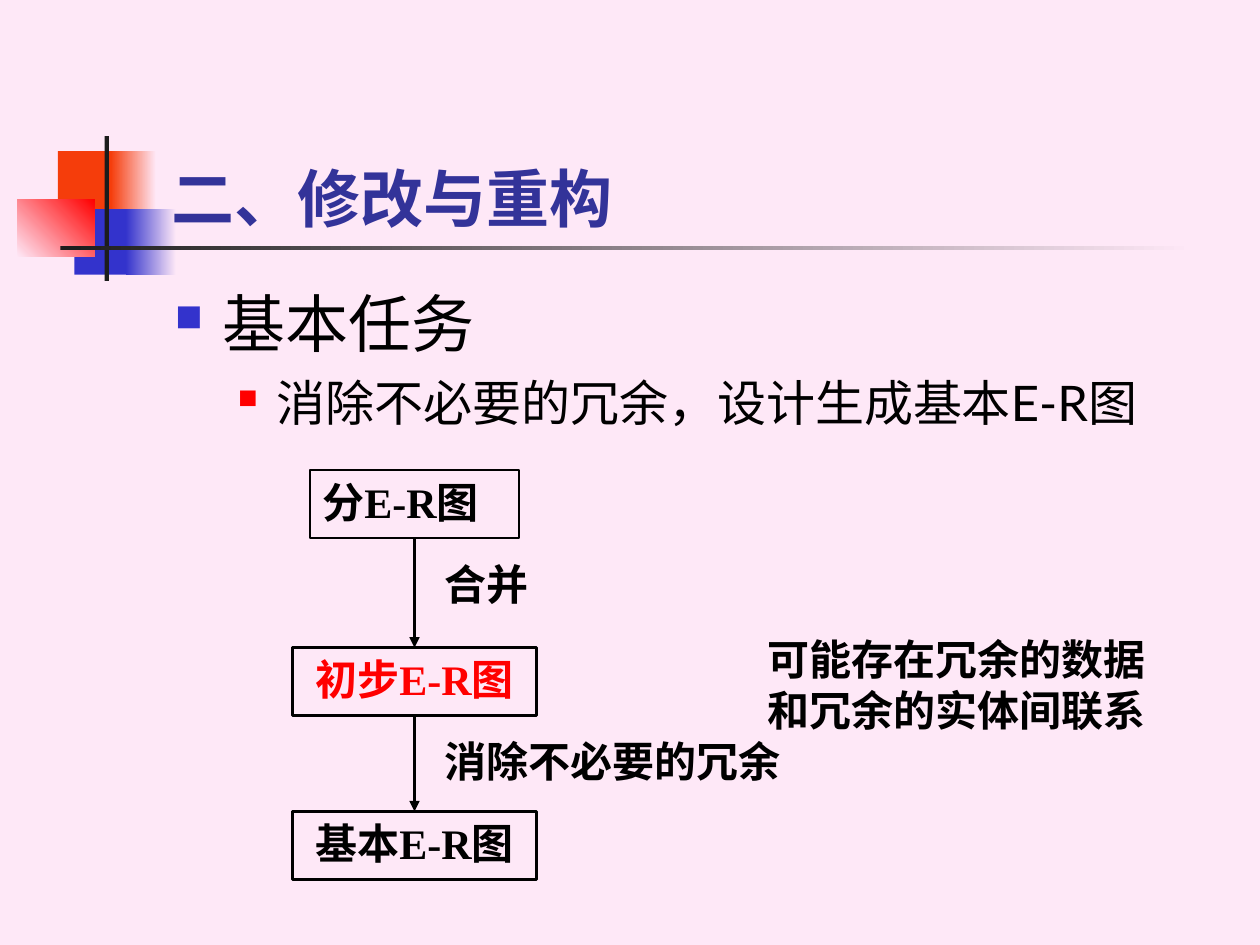
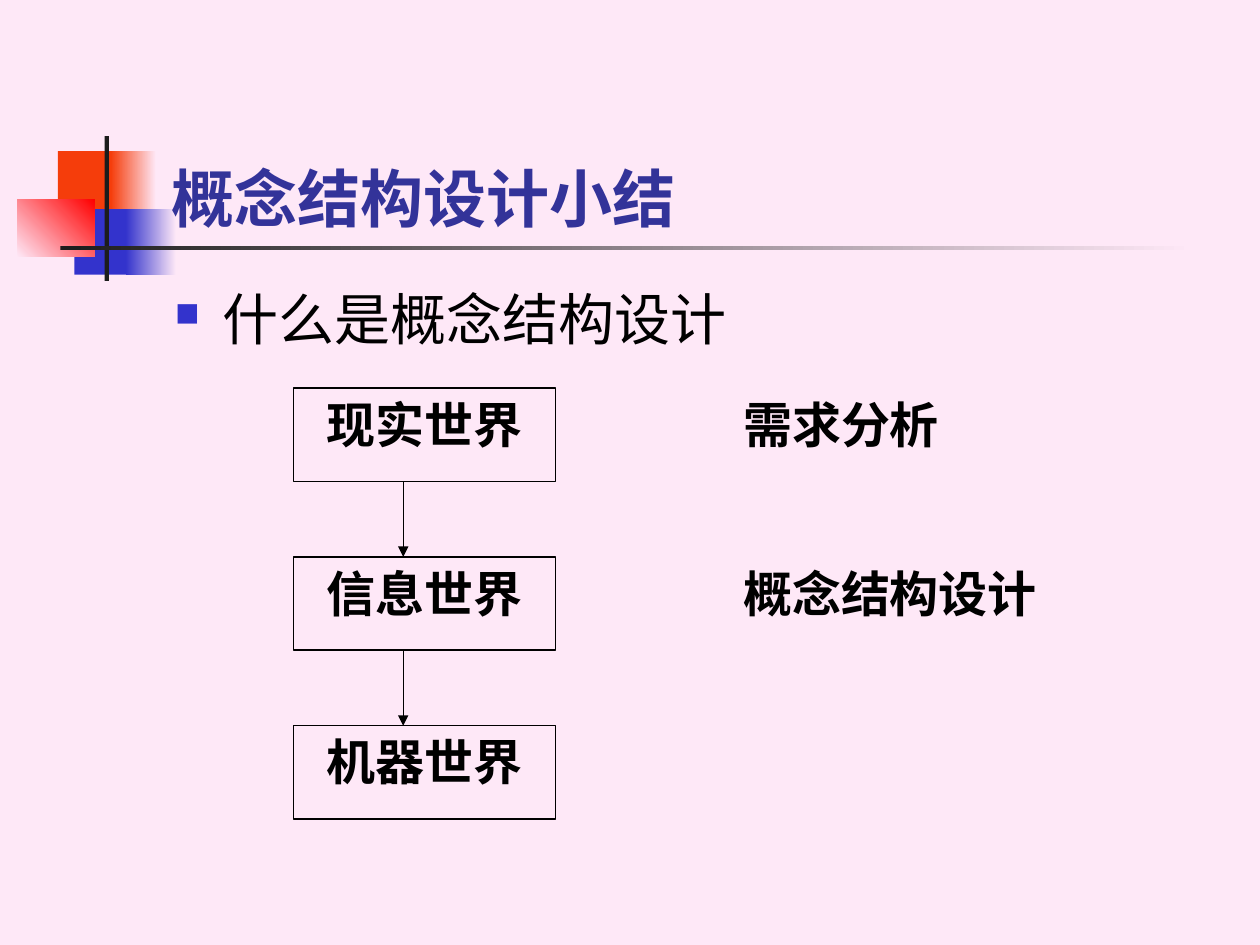
import pptx
import pptx.dml.color
import pptx.enum.dml
import pptx.enum.lang
import pptx.enum.shapes
import pptx.enum.text
import pptx.oxml
import pptx.oxml.ns
import pptx.util

ALIGN = pptx.enum.text.PP_ALIGN
ANCHOR = pptx.enum.text.MSO_ANCHOR
KIND = pptx.enum.shapes.MSO_SHAPE.RECTANGLE
LANG = pptx.enum.lang.MSO_LANGUAGE_ID.SIMPLIFIED_CHINESE
NS = pptx.oxml.ns.nsdecls("a")

PINK, ORANGE, BLUE, RED = "FEE8F7", "F53D0B", "3333CC", "FF0000"
NAVY, DARK, BLACK = "333399", "1C1C1C", "000000"
HEAD, NOTE = "Lato", "Times New Roman"

# left, top, width, height in grid units; fill; fade colour; fade angle
DECOR = [
    (4.6, 12, 4.8, 5.2, ORANGE, None, 0),
    (8.8, 12, 3.6, 5.2, ORANGE, PINK, 0),
    (5.9, 16.6, 4.6, 5.2, BLUE, None, 0),
    (10, 16.6, 4, 5.2, BLUE, PINK, 0),
    (1.4, 15.8, 6.1, 4.6, PINK, RED, 45),
    (8.3, 10.8, 0.35, 11.5, DARK, None, 0),
    (4.8, 19.5, 90, 0.35, DARK, PINK, 0),
]
# left indent and hang in inches, mark colour, mark size in percent
LEVELS = [(0.38, 0.38, BLUE, 60), (0.81, 0.31, RED, 55)]


def put(item, **values):
    for name, value in values.items():
        setattr(item, name, value)


def tint(code):
    return pptx.dml.color.RGBColor.from_string(code)


def unit(count):
    """Length of grid cells; the slide has 100 columns and 75 rows."""
    return pptx.util.Inches(count / 10)


def add_xml(parent, text):
    parent.append(pptx.oxml.parse_xml(text))


class Deck:
    def __init__(self):
        self.prs = pptx.Presentation()
        put(self.prs, slide_width=unit(100), slide_height=unit(75))
        self.layout = self.prs.slide_layouts[5]
        fill = self.layout.background.fill
        fill.solid()
        fill.fore_color.rgb = tint(PINK)
        self.slide = None

    def page(self, title):
        first = self.slide is None
        self.slide = self.prs.slides.add_slide(self.layout)
        if first:
            self.decor()
        shape = self.slide.shapes.title
        put(shape, left=unit(12.6), top=unit(6.7),
            width=unit(85.2), height=unit(12.5))
        put(shape.text_frame, vertical_anchor=ANCHOR.BOTTOM,
            auto_size=pptx.enum.text.MSO_AUTO_SIZE.NONE)
        self.text(shape, [title], 36, HEAD, NAVY, True, ALIGN.LEFT)

    def decor(self):
        """Draw the shared corner blocks and move them to the layout."""
        tree = self.layout.shapes.element
        for num, (*area, color, fade, angle) in enumerate(DECOR, 20):
            shape = self.rect(*area)
            shape.line.fill.background()
            if fade:
                shape.fill.gradient()
                shape.fill.gradient_angle = angle
                for stop, code in zip(shape.fill.gradient_stops, (color, fade)):
                    stop.color.rgb = tint(code)
            else:
                shape.fill.solid()
                shape.fill.fore_color.rgb = tint(color)
            shape.element.xpath(".//p:cNvPr")[0].set("id", str(num))
            tree.append(shape.element)

    def rect(self, *area):
        shape = self.slide.shapes.add_shape(KIND, *map(unit, area))
        shape.shadow.inherit = False
        return shape

    def text(self, shape, lines, size, face, color, bold, align):
        frame = shape.text_frame
        for num, line in enumerate(lines):
            para = frame.add_paragraph() if num else frame.paragraphs[0]
            para.alignment = align
            run = para.add_run()
            run.text = line
            put(run.font, size=pptx.util.Pt(size), name=face, bold=bold,
                language_id=LANG)
            run.font.color.rgb = tint(color)

    def box(self, area, text, size, width, color=BLACK, align=ALIGN.CENTER):
        shape = self.rect(*area)
        shape.fill.background()
        shape.line.width = pptx.util.Pt(width)
        shape.line.color.rgb = tint(BLACK)
        put(shape.text_frame, vertical_anchor=ANCHOR.TOP,
            word_wrap=align != ALIGN.CENTER)
        self.text(shape, [text], size, NOTE, color, True, align)
        return shape

    def label(self, area, lines, size):
        shape = self.slide.shapes.add_textbox(*map(unit, area))
        shape.text_frame.word_wrap = True
        self.text(shape, lines, size, NOTE, BLACK, True, ALIGN.JUSTIFY)

    def body(self, *items):
        """Bulleted text; each item is (text, size), one level deeper each."""
        shape = self.slide.shapes.add_textbox(*map(unit, (12.9, 22.1, 85, 45)))
        frame = shape.text_frame
        frame.word_wrap = True
        self.text(shape, [text for text, _ in items], 36, HEAD, BLACK,
                  False, ALIGN.LEFT)
        for para, (_, size), level in zip(frame.paragraphs, items, LEVELS):
            left, hang, color, share = level
            para.runs[0].font.size = pptx.util.Pt(size)
            para.space_before = pptx.util.Pt(size / 4)
            props = para._p.get_or_add_pPr()
            props.set("marL", str(pptx.util.Inches(left)))
            props.set("indent", str(-pptx.util.Inches(hang)))
            add_xml(props, f'<a:buClr {NS}><a:srgbClr val="{color}"/></a:buClr>')
            add_xml(props, f'<a:buSzPct {NS} val="{share * 1000}"/>')
            add_xml(props, f'<a:buChar {NS} char="■"/>')

    def arrow(self, start, end, width, col=None):
        """Join two boxes, at their middles or straight down at a column."""
        x = unit(col or 0)
        line = self.slide.shapes.add_connector(
            pptx.enum.shapes.MSO_CONNECTOR.STRAIGHT,
            x, start.top + start.height, x, end.top)
        if col is None:
            line.begin_connect(start, 2)
            line.end_connect(end, 0)
        line.line.width = pptx.util.Pt(width)
        line.line.color.rgb = tint(BLACK)
        add_xml(line.line._get_or_add_ln(), f'<a:tailEnd {NS} type="triangle"/>')
        add_xml(line.element.spPr, f"<a:effectLst {NS}/>")


def merge(deck):
    deck.page("二、修改与重构")
    deck.body(("基本任务", 36), ("消除不必要的冗余，设计生成基本E-R图", 28))
    part = deck.box((24.6, 37.3, 16.6, 5.4), "分E-R图", 24, 1.5,
                    align=ALIGN.JUSTIFY)
    draft = deck.box((23.2, 51.4, 19.4, 5.4), "初步E-R图", 24, 1.5, RED)
    final = deck.box((23.2, 64.4, 19.4, 5.4), "基本E-R图", 24, 1.5)
    deck.arrow(part, draft, 1.5)
    deck.arrow(draft, final, 1.5)
    deck.label((34.3, 43.8, 12.4, 4.3), ["合并"], 24)
    deck.label((34.3, 57.9, 30.3, 5.4), ["消除不必要的冗余"], 24)
    deck.label((59.9, 49.8, 32.5, 8.3),
               ["可能存在冗余的数据", "和冗余的实体间联系"], 24)


def recap(deck):
    deck.page("概念结构设计小结")
    deck.body(("什么是概念结构设计", 32))
    top, step = 30.8, 13.4
    worlds = [deck.box((23.3, top + num * step, 20.8, 7.4), text, 28, 0.75)
              for num, text in enumerate(["现实世界", "信息世界", "机器世界"])]
    for start, end in zip(worlds, worlds[1:]):
        deck.arrow(start, end, 0.75, 32)
    for num, text in enumerate(["需求分析", "概念结构设计"]):
        deck.label((58, top + num * step, 29.5, 5.9), [text], 28)


def main():
    deck = Deck()
    merge(deck)
    recap(deck)
    deck.prs.save("out.pptx")


if __name__ == "__main__":
    main()
